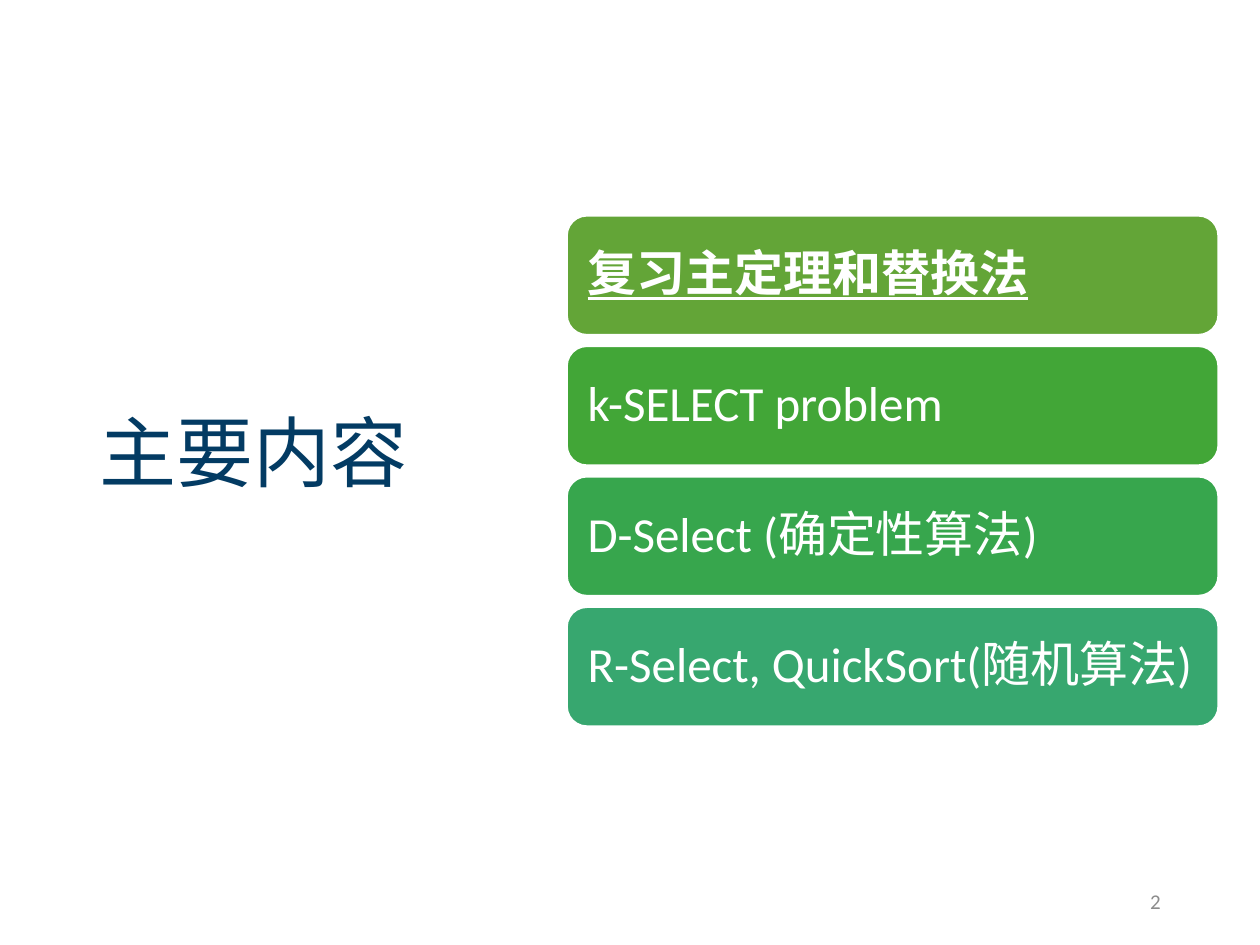
import pptx
import pptx.util
import pptx.dml.color
import pptx.enum.shapes
import pptx.enum.text
from pptx.util import Cm

FONT = "Calibri"
WHITE = "FFFFFF"
LEFT = pptx.enum.text.PP_ALIGN.LEFT
RIGHT = pptx.enum.text.PP_ALIGN.RIGHT

# Agenda topics: text, fill colour, whether it is the current topic
TOPICS = [
    ("复习主定理和替换法", "63A537", True),
    ("k-SELECT problem", "42A637", False),
    ("D-Select (确定性算法)", "37A64D", False),
    ("R-Select, QuickSort(随机算法)", "37A76F", False),
]
TOPIC_TOP = 4.35
TOPIC_PITCH = 2.63


def color(hex_string):
    return pptx.dml.color.RGBColor.from_string(hex_string)


def write_text(shape, text, size, text_color, alignment=LEFT, spacing=0.9):
    """Put one vertically centred line of text in a shape and return its run."""
    frame = shape.text_frame
    frame.word_wrap = True
    frame.auto_size = pptx.enum.text.MSO_AUTO_SIZE.NONE
    frame.vertical_anchor = pptx.enum.text.MSO_ANCHOR.MIDDLE
    paragraph = frame.paragraphs[0]
    paragraph.alignment = alignment
    paragraph.line_spacing = spacing
    run = paragraph.add_run()
    run.text = text
    run.font.name = FONT
    run.font.size = pptx.util.Pt(size)
    run.font.color.rgb = color(text_color)
    return run


def format_title(slide, text):
    title = slide.shapes.title
    title.left, title.top = Cm(1.75), Cm(3.33)
    title.width, title.height = Cm(7.21), Cm(11.76)
    write_text(title, text, 44, "033B63")


def add_topic(slide, top, text, fill, is_current):
    shape = slide.shapes.add_shape(
        pptx.enum.shapes.MSO_SHAPE.ROUNDED_RECTANGLE,
        Cm(11.43), Cm(top), Cm(13.13), Cm(2.4))
    shape.shadow.inherit = False
    shape.fill.solid()
    shape.fill.fore_color.rgb = color(fill)
    shape.line.color.rgb = color(WHITE)
    shape.line.width = pptx.util.Pt(1)
    frame = shape.text_frame
    frame.margin_left = frame.margin_right = Cm(0.3)
    frame.margin_top = frame.margin_bottom = Cm(0.3)
    run = write_text(shape, text, 28, WHITE)
    if is_current:
        run.font.bold = True
        run.font.underline = True


def add_slide_number(slide, number):
    box = slide.shapes.add_textbox(Cm(17.93), Cm(17.65), Cm(5.72), Cm(1.02))
    write_text(box, number, 12, "8C8C8C", RIGHT, 1.0)


def main():
    presentation = pptx.Presentation()
    presentation.slide_width = Cm(25.4)
    presentation.slide_height = Cm(19.05)
    slide = presentation.slides.add_slide(presentation.slide_layouts[5])

    # Heading on the left
    format_title(slide, "主要内容")

    # Evenly stacked topics on the right
    for index, (text, fill, is_current) in enumerate(TOPICS):
        add_topic(slide, TOPIC_TOP + index * TOPIC_PITCH, text, fill, is_current)

    # Footer
    add_slide_number(slide, "2")
    presentation.save("out.pptx")


if __name__ == "__main__":
    main()
